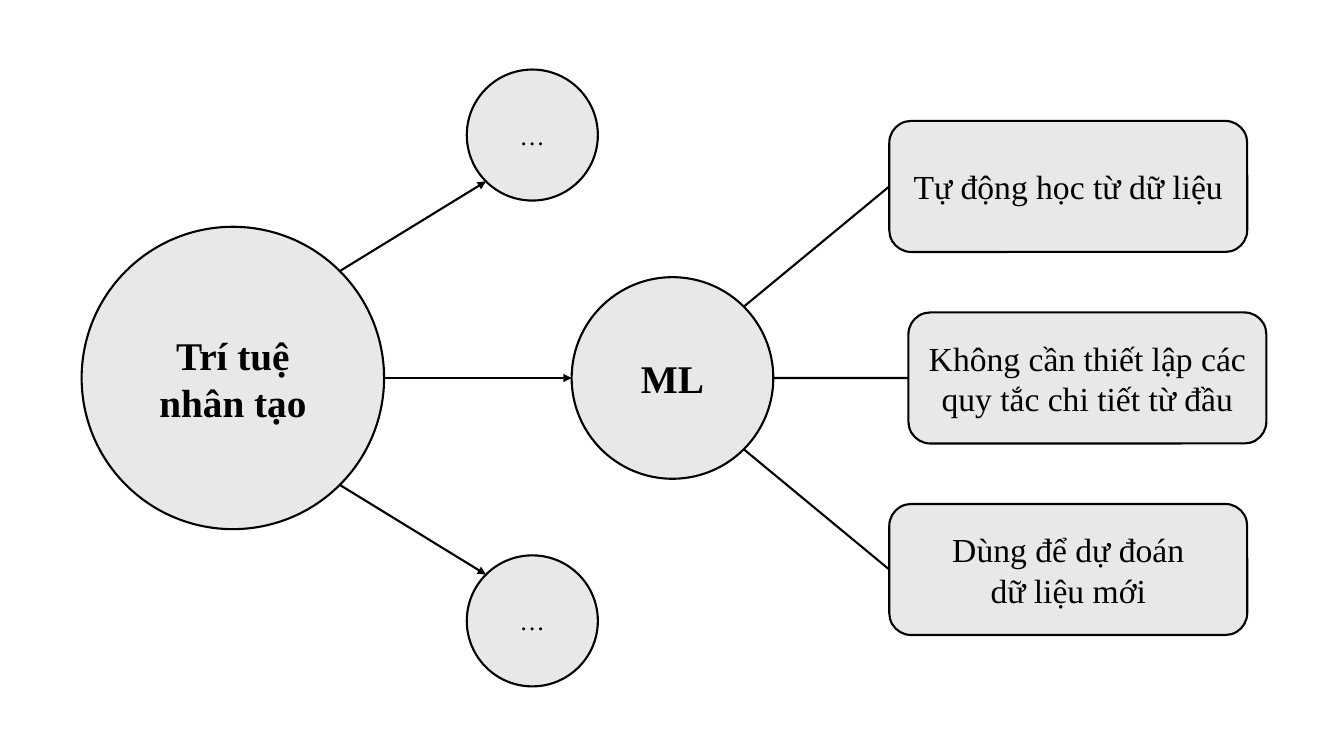
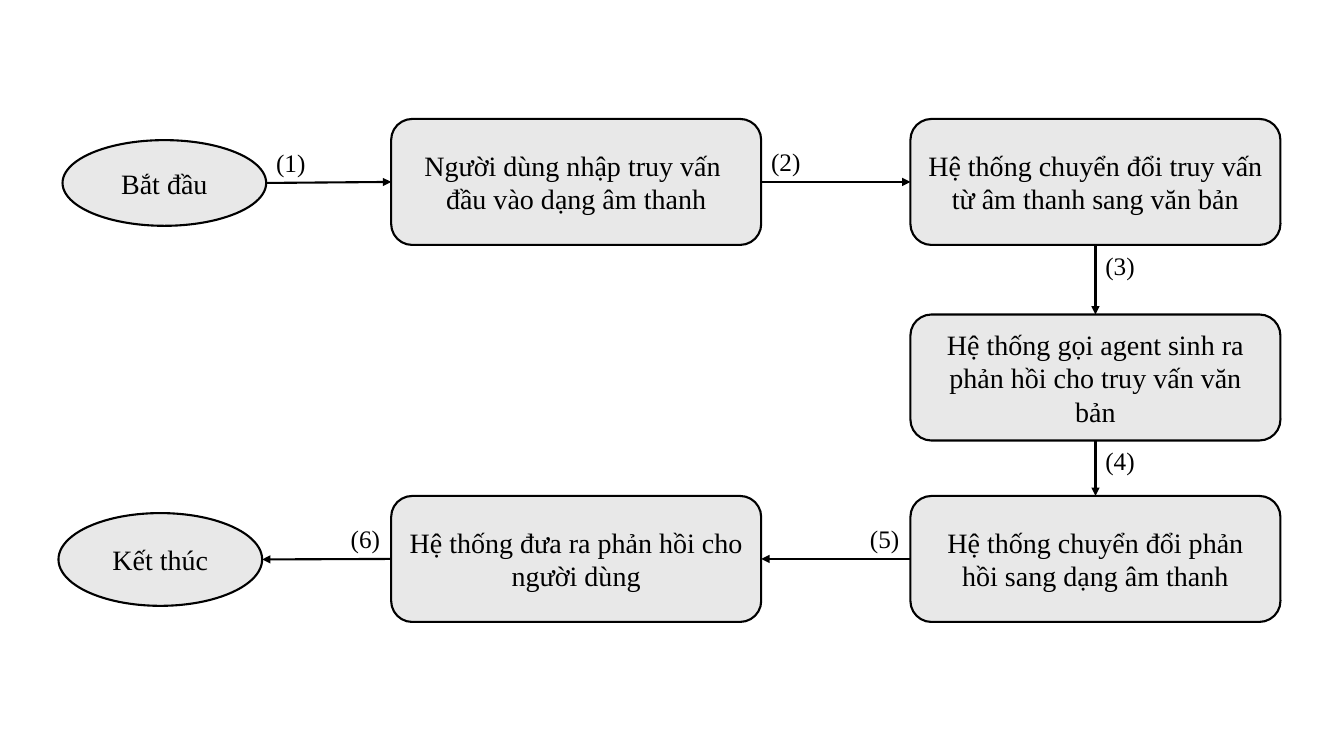
import math
from dataclasses import dataclass

import pptx
import pptx.dml.color
import pptx.enum.shapes
import pptx.enum.text
import pptx.oxml
import pptx.oxml.ns
import pptx.util
from pptx.util import Inches

SHAPE = pptx.enum.shapes.MSO_SHAPE
ALIGN = pptx.enum.text.PP_ALIGN


@dataclass(frozen=True)
class Theme:
    font: str = "Times New Roman"
    ink: str = "000000"
    fill: str = "E8E8E8"
    line: float = 1.5
    heading: int = 28
    trait: int = 24
    step: int = 20
    small: int = 18


THEME = Theme()

# Concept map: circles are (name, centre x, centre y, diameter, text, size, bold)
MIDDLE = 3.75
CIRCLES = [
    ("ai", 2.31, MIDDLE, 3, "Trí tuệ nhân tạo", THEME.heading, True),
    ("ml", 6.67, MIDDLE, 2, "ML", THEME.heading, True),
    ("upper", 5.28, MIDDLE - 2.41, 1.3, "…", THEME.small, False),
    ("lower", 5.28, MIDDLE + 2.41, 1.3, "…", THEME.small, False),
]
TRAIT_SIZE = (3.55, 1.3)
TRAIT_TOP, TRAIT_PITCH = 1.2, 1.9
TRAITS = [
    ("learns", 8.82, "Tự động học từ dữ liệu"),
    ("no_rules", 9.01, "Không cần thiết lập các\nquy tắc chi tiết từ đầu"),
    ("predicts", 8.82, "Dùng để dự đoán\ndữ liệu mới"),
]
# (from, side, to, side, arrowhead)
MAP_LINKS = [
    ("ai", "top right", "upper", "bottom left", True),
    ("ai", "right", "ml", "left", True),
    ("ai", "bottom right", "lower", "top left", True),
    ("ml", "top right", "learns", "left", False),
    ("ml", "right", "no_rules", "left", False),
    ("ml", "bottom right", "predicts", "left", False),
]

# Flow chart: steps are (name, column, row, text)
COLUMNS = (3.88, 9.03)
ROWS = (1.18, 3.12, 4.92)
STEP_SIZE = (3.67, 1.25)
STEPS = [
    ("query", 0, 0, "Người dùng nhập truy vấn \nđầu vào dạng âm thanh"),
    ("to_text", 1, 0, "Hệ thống chuyển đổi truy vấn từ âm thanh sang văn bản"),
    ("agent", 1, 1, "Hệ thống gọi agent sinh ra phản hồi cho truy vấn văn bản"),
    ("to_audio", 1, 2, "Hệ thống chuyển đổi phản hồi sang dạng âm thanh"),
    ("reply", 0, 2, "Hệ thống đưa ra phản hồi cho người dùng"),
]
TERMINALS = [
    ("start", (0.62, 1.39, 2.02, 0.85), "Bắt đầu"),
    ("end", (0.58, 5.09, 2.02, 0.92), "Kết thúc"),
]
FLOW_LINKS = [
    ("start", "right", "query", "left"),
    ("query", "right", "to_text", "left"),
    ("to_text", "bottom", "agent", "top"),
    ("agent", "bottom", "to_audio", "top"),
    ("to_audio", "left", "reply", "right"),
    ("reply", "left", "end", "right"),
]
LABEL_SIZE = (0.5, 0.4)

DIAGONAL = math.sqrt(0.5)
DIRECTIONS = {
    "top": (0, -1), "left": (-1, 0), "bottom": (0, 1), "right": (1, 0),
    "top left": (-DIAGONAL, -DIAGONAL), "top right": (DIAGONAL, -DIAGONAL),
    "bottom left": (-DIAGONAL, DIAGONAL), "bottom right": (DIAGONAL, DIAGONAL),
}
RECTANGLE_SITES = {"top": 0, "left": 1, "bottom": 2, "right": 3}


def color(value):
    return pptx.dml.color.RGBColor.from_string(value)


def write(shape, text, size, bold=False, align=ALIGN.CENTER):
    shape.text_frame.text = text
    for para in shape.text_frame.paragraphs:
        para.alignment = align
        for span in para.runs:
            span.font.name = THEME.font
            span.font.size = pptx.util.Pt(size)
            span.font.bold = bold
            span.font.color.rgb = color(THEME.ink)


def outline(line):
    line.color.rgb = color(THEME.ink)
    line.width = pptx.util.Pt(THEME.line)


def add_node(page, kind, bounds, text, size, bold=False):
    node = page.shapes.add_shape(kind, *map(Inches, bounds))
    node.shadow.inherit = False
    node.fill.solid()
    node.fill.fore_color.rgb = color(THEME.fill)
    outline(node.line)
    node.text_frame.word_wrap = True
    node.text_frame.vertical_anchor = pptx.enum.text.MSO_ANCHOR.MIDDLE
    write(node, text, size, bold)
    return node


def edge_point(node, side):
    across, down = DIRECTIONS[side]
    return (round(node.left + node.width * (1 + across) / 2),
            round(node.top + node.height * (1 + down) / 2))


def add_link(page, source, source_side, target, target_side, arrow=True):
    link = page.shapes.add_connector(
        pptx.enum.shapes.MSO_CONNECTOR.STRAIGHT,
        *edge_point(source, source_side), *edge_point(target, target_side))
    for node, side, connect in ((source, source_side, link.begin_connect),
                                (target, target_side, link.end_connect)):
        if node.auto_shape_type == SHAPE.ROUNDED_RECTANGLE:
            connect(node, RECTANGLE_SITES[side])
    outline(link.line)
    if arrow:
        head = pptx.oxml.parse_xml(
            f'<a:tailEnd {pptx.oxml.ns.nsdecls("a")} type="triangle"/>')
        link.line._get_or_add_ln().append(head)
    link._element.spPr.append(
        pptx.oxml.parse_xml(f'<a:effectLst {pptx.oxml.ns.nsdecls("a")}/>'))


def add_label(page, text, node, side):
    """Number a link beside the point where it leaves its node."""
    width, height = map(Inches, LABEL_SIZE)
    left, top = edge_point(node, side)
    if side == "left":
        left -= width
    if side != "bottom":
        top -= height
    box = page.shapes.add_textbox(left, top, width, height)
    box.text_frame.word_wrap = False
    box.text_frame.auto_size = pptx.enum.text.MSO_AUTO_SIZE.SHAPE_TO_FIT_TEXT
    write(box, text, THEME.small, align=ALIGN.LEFT)


def build_concept_map(page):
    nodes = {}
    for name, x, y, diameter, text, size, bold in CIRCLES:
        bounds = (x - diameter / 2, y - diameter / 2, diameter, diameter)
        nodes[name] = add_node(page, SHAPE.OVAL, bounds, text, size, bold)
    for row, (name, left, text) in enumerate(TRAITS):
        bounds = (left, TRAIT_TOP + row * TRAIT_PITCH, *TRAIT_SIZE)
        nodes[name] = add_node(
            page, SHAPE.ROUNDED_RECTANGLE, bounds, text, THEME.trait)
    for source, source_side, target, target_side, arrow in MAP_LINKS:
        add_link(page, nodes[source], source_side,
                 nodes[target], target_side, arrow)


def build_flow_chart(page):
    nodes = {}
    for name, bounds, text in TERMINALS:
        nodes[name] = add_node(page, SHAPE.OVAL, bounds, text, THEME.step)
    for name, column, row, text in STEPS:
        bounds = (COLUMNS[column], ROWS[row], *STEP_SIZE)
        nodes[name] = add_node(
            page, SHAPE.ROUNDED_RECTANGLE, bounds, text, THEME.step)
    for number, (source, source_side, target, target_side) in enumerate(FLOW_LINKS, 1):
        add_link(page, nodes[source], source_side, nodes[target], target_side)
        add_label(page, f"({number})", nodes[source], source_side)


def main():
    deck = pptx.Presentation()
    deck.slide_width, deck.slide_height = Inches(13.33), Inches(7.5)
    blank = deck.slide_layouts[6]
    for build in (build_concept_map, build_flow_chart):
        build(deck.slides.add_slide(blank))
    deck.save("out.pptx")


if __name__ == "__main__":
    main()
